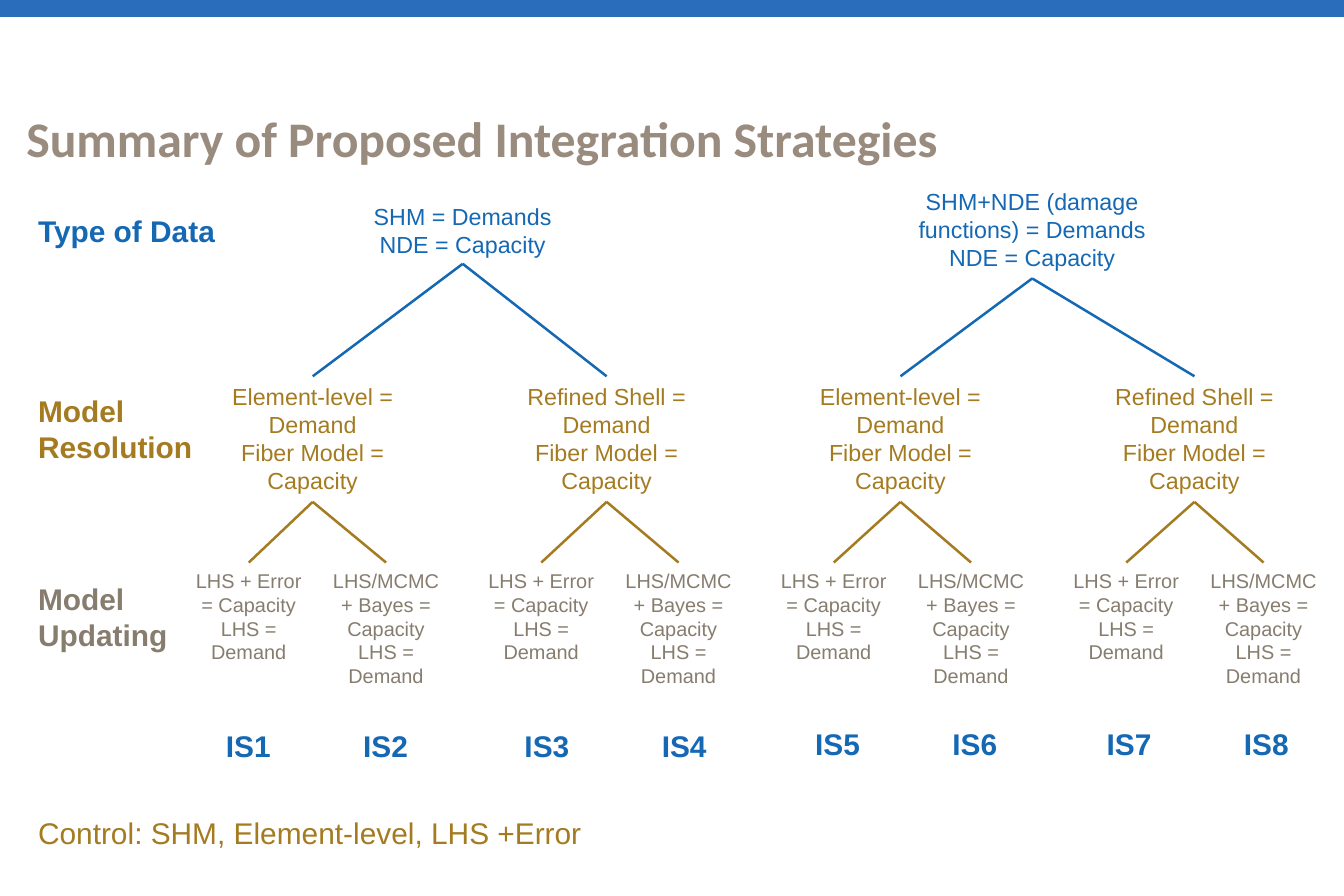
from lxml import etree
from pptx import Presentation
from pptx import util as u
from pptx.dml.color import RGBColor
from pptx.enum import shapes, text
from pptx.oxml.ns import qn

COLORS = {
    "bar": "2A6EBB",
    "title": "998B7D",
    "data": "1568B3",
    "resolution": "A47B20",
    "updating": "877D6F",
}
LEFT, CENTER = text.PP_ALIGN.LEFT, text.PP_ALIGN.CENTER

# Centre, top, width and height within the tree, then the lines
DATA_TYPES = [
    (6.0, 0.31, 6.22, 1.44, ["SHM = Demands", "NDE = Capacity"]),
    (18.11, 0, 6.91, 2.06,
     ["SHM+NDE (damage functions) = Demands", "NDE = Capacity"]),
]
RESOLUTIONS = [
    ["Element-level = Demand", "Fiber Model = Capacity"],
    ["Refined Shell = Demand", "Fiber Model = Capacity"],
]
UPDATES = [
    (2.31, ["LHS + Error = Capacity", "LHS = Demand"]),
    (2.82, ["LHS/MCMC + Bayes = Capacity", "LHS = Demand"]),
]
# Centre and top of the first strategy name under each model
STRATEGY_PAIRS = [(1.44, 11.48), (7.79, 11.48), (13.97, 11.45), (20.17, 11.45)]
ROW_LABELS = [
    ("Type of Data", "data", 0, 1.02),
    ("Model Resolution", "resolution", 3.84, 1.8),
    ("Model Updating", "updating", 7.83, 1.8),
]


def write_line(paragraph, words, size, color, bold=False, font="Arial"):
    run = paragraph.add_run()
    run.text = words
    run.font.name = font
    run.font.size = u.Pt(size)
    run.font.bold = bold
    run.font.color.rgb = RGBColor.from_string(COLORS[color])


def add_label(slide, box, lines, size, color, bold=False, align=CENTER):
    frame = slide.shapes.add_textbox(*map(u.Cm, box)).text_frame
    frame.word_wrap = True
    frame.auto_size = text.MSO_AUTO_SIZE.SHAPE_TO_FIT_TEXT
    for index, words in enumerate(lines):
        paragraph = frame.add_paragraph() if index else frame.paragraphs[0]
        paragraph.alignment = align
        write_line(paragraph, words, size, color, bold)


def add_branch(slide, start, end, color):
    branch = slide.shapes.add_connector(
        shapes.MSO_CONNECTOR.STRAIGHT, *map(u.Cm, (*start, *end)))
    branch.line.color.rgb = RGBColor.from_string(COLORS[color])
    branch.line.width = u.Pt(1.5)
    etree.SubElement(branch._element.spPr, qn("a:effectLst"))


def add_top_bar(slide, box):
    bar = slide.shapes.add_shape(
        shapes.MSO_SHAPE.RECTANGLE, *map(u.Cm, box))
    bar.shadow.inherit = False
    bar.fill.solid()
    bar.fill.fore_color.rgb = RGBColor.from_string(COLORS["bar"])
    bar.line.fill.background()


def fill_title(slide, box):
    title = slide.shapes.title
    title.left, title.top, title.width, title.height = map(u.Cm, box)
    frame = title.text_frame
    frame.margin_left = frame.margin_right = 0
    frame.margin_top = frame.margin_bottom = 0
    frame.auto_size = text.MSO_AUTO_SIZE.NONE
    frame.vertical_anchor = text.MSO_ANCHOR.MIDDLE
    paragraph = frame.paragraphs[0]
    paragraph.alignment = LEFT
    paragraph.line_spacing = 0.9
    write_line(paragraph, "Summary of Proposed Integration Strategies",
               30, "title", True, "Calibri")


def add_row_labels(slide, box):
    left, top, width, _ = box
    for words, color, offset, height in ROW_LABELS:
        add_label(slide, (left, top + offset, width, height),
                  [words], 18, color, True, LEFT)


def add_strategy_tree(slide, box):
    """Place data types, models, updates and strategy names, with branches."""
    left, top, _, _ = box
    model_top, model_width, model_height = top + 4.14, 5.08, 2.67
    update_top, update_width, pair_gap = top + 8.1, 2.92, 2.92
    name_width, name_height = 1.93, 1.02

    for center, offset, width, height, lines in DATA_TYPES:
        add_label(slide, (left + center - width / 2, top + offset,
                          width, height), lines, 14, "data")

    for index, (name_center, name_top) in enumerate(STRATEGY_PAIRS):
        data_index, model_index = divmod(index, 2)
        data_center, offset, _, height, _ = DATA_TYPES[data_index]
        model_x = left + 2.81 + 6.25 * index
        add_branch(slide, (left + data_center, top + offset + height),
                   (model_x, model_top), "data")
        add_label(slide, (model_x - model_width / 2, model_top,
                          model_width, model_height),
                  RESOLUTIONS[model_index], 14, "resolution")

        for side, (update_height, lines) in enumerate(UPDATES):
            update_x = left + 1.45 + 6.22 * index + pair_gap * side
            add_branch(slide, (model_x, model_top + model_height),
                       (update_x, update_top), "resolution")
            add_label(slide, (update_x - update_width / 2, update_top,
                              update_width, update_height),
                      lines, 12, "updating")
            name_x = left + name_center + pair_gap * side
            add_label(slide, (name_x - name_width / 2, top + name_top,
                              name_width, name_height),
                      [f"IS{2 * index + side + 1}"], 18, "data", True)


def add_control_note(slide, box):
    add_label(slide, box, ["Control: SHM, Element-level, LHS +Error"],
              18, "resolution", align=LEFT)


def main():
    deck = Presentation()
    deck.slide_width, deck.slide_height = u.Cm(28.58), u.Cm(19.05)
    slide = deck.slides.add_slide(deck.slide_layouts.get_by_name("Title Only"))
    add_top_bar(slide, (0, 0, 28.58, 0.36))
    fill_title(slide, (0.56, 2.36, 27.05, 1.3))
    add_row_labels(slide, (0.56, 4.39, 4.62, 9.63))
    add_strategy_tree(slide, (3.84, 3.86, 24.5, 12.5))
    add_control_note(slide, (0.56, 17.2, 14.4, 1.02))
    deck.save("out.pptx")


if __name__ == "__main__":
    main()
